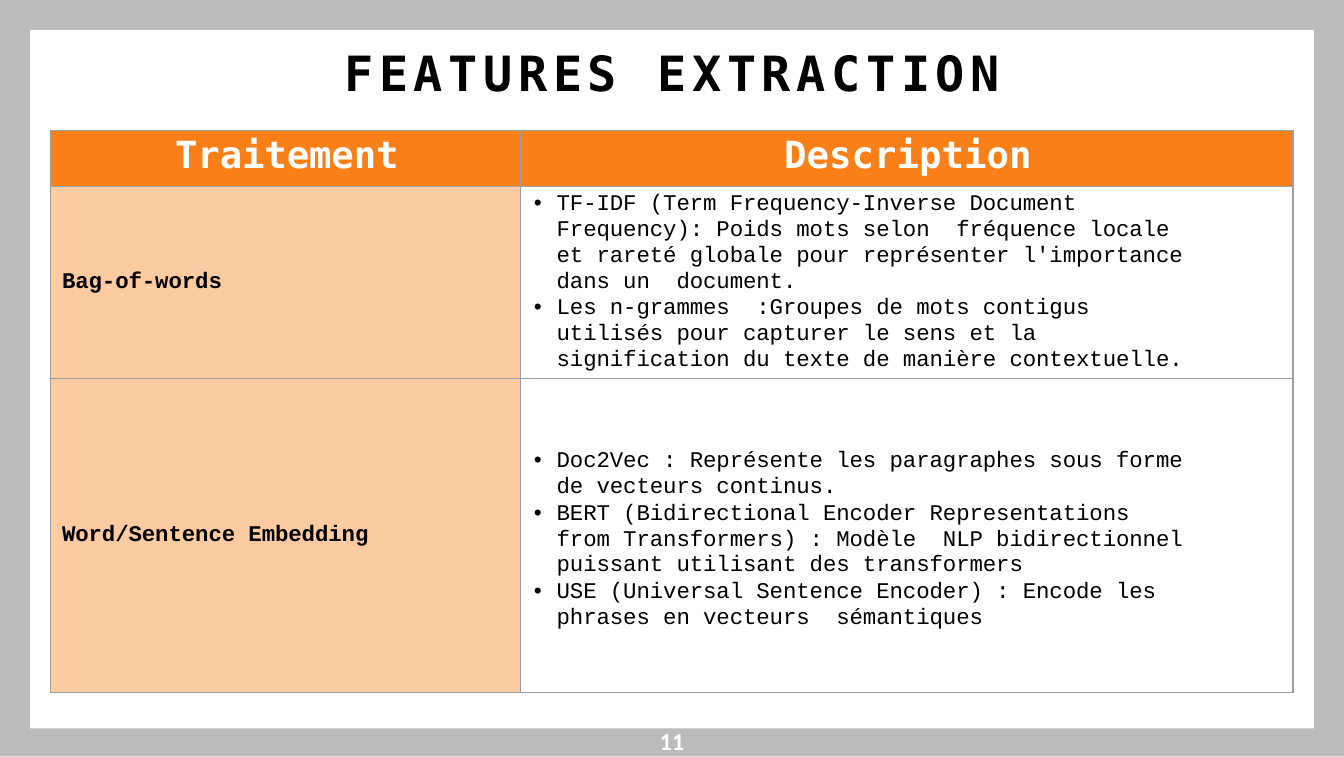
"""Build the features extraction slide with its framed two-column table."""
from lxml.etree import SubElement, fromstring
from pptx import Presentation
from pptx.dml.color import RGBColor
from pptx.enum.text import MSO_ANCHOR, MSO_AUTO_SIZE, PP_ALIGN
from pptx.oxml.ns import nsdecls, qn
from pptx.util import Pt

WIDTH, HEIGHT, BORDER = 720, 405.36, 15.6
MONO, TYPEWRITER = "DejaVu Sans Mono", "Courier New"
GREY, ORANGE, PEACH = "BBBBBB", "F97F18", "FDCBA1"
WHITE, BLACK, RULE = "FFFFFF", "000000", "9E9E9E"

TITLE = "FEATURES EXTRACTION"
PAGE_NUMBER = "11"
HEADERS = [("Traitement", -0.1), ("Description", 0)]
METHODS = [
    ("Bag-of-words", [
        "TF-IDF (Term Frequency-Inverse Document Frequency): Poids mots selon  fréquence locale "
        "et rareté globale pour représenter l'importance dans un  document.",
        "Les n-grammes\u00a0 :Groupes de mots contigus utilisés pour capturer le sens et la "
        "signification du texte de manière contextuelle.",
    ]),
    ("Word/Sentence Embedding", [
        "Doc2Vec : Représente les paragraphes sous forme de vecteurs continus.",
        "BERT (Bidirectional Encoder Representations from Transformers) : Modèle  NLP "
        "bidirectionnel puissant utilisant des transformers",
        "USE (Universal Sentence Encoder) : Encode les phrases en vecteurs  sémantiques",
    ]),
]
COLUMN_WIDTHS = [251.5, 414]
ROW_HEIGHTS = [29.8, 103, 168]
TABLE_LEFT, TABLE_TOP = 27.2, 69.9

HEADER_STYLE = dict(font=MONO, size=20, color=WHITE, bold=True, align=PP_ALIGN.CENTER,
                    left=1.4, line=20.3)
LABEL_STYLE = dict(font=TYPEWRITER, size=12, bold=True, left=6, line=13.8, tracking=-0.06)
BULLET_STYLE = dict(font=TYPEWRITER, size=12, left=19.5, hanging=13.7, line=13.8,
                    before=0.5, bullet="•", tracking=-0.06)


def rgb(value):
    """Turn a hex string into a colour."""
    return RGBColor.from_string(value)


def write(frame, text, font=MONO, size=12, color=BLACK, bold=False, align=PP_ALIGN.LEFT,
          left=0, hanging=0, line=None, before=0, bullet=None, tracking=0):
    """Fill a text frame with one paragraph per line of text."""
    frame.text = text
    for para in frame.paragraphs:
        para.alignment = align
        para.space_before = Pt(before)
        if line:
            para.line_spacing = Pt(line)
        properties = para._p.get_or_add_pPr()
        properties.set("marL", str(Pt(left)))
        properties.set("indent", str(-Pt(hanging)))
        if bullet:
            SubElement(properties, qn("a:buFont")).set("typeface", font)
            SubElement(properties, qn("a:buChar")).set("char", bullet)
        for span in para.runs:
            span.font.name, span.font.size, span.font.bold = font, Pt(size), bold
            span.font.color.rgb = rgb(color)
            span._r.get_or_add_rPr().set("spc", str(round(tracking * 100)))


def set_insets(target, left=0, top=0, right=0, bottom=0):
    """Set the inner margins of a cell or a text frame."""
    target.margin_left, target.margin_top = Pt(left), Pt(top)
    target.margin_right, target.margin_bottom = Pt(right), Pt(bottom)


def place(box, left, top, width, height):
    """Position a box and give its frame a plain layout."""
    box.left, box.top, box.width, box.height = Pt(left), Pt(top), Pt(width), Pt(height)
    frame = box.text_frame
    frame.word_wrap, frame.auto_size = True, MSO_AUTO_SIZE.NONE
    frame.vertical_anchor = MSO_ANCHOR.TOP
    set_insets(frame)
    return frame


def add_frame(page):
    """Draw the grey border around the slide."""
    inset_right, inset_bottom = WIDTH - BORDER, HEIGHT - BORDER
    builder = page.shapes.build_freeform(0, 0, scale=Pt(1))
    builder.add_line_segments([(WIDTH, 0), (WIDTH, HEIGHT), (0, HEIGHT)])
    builder.move_to(BORDER, BORDER)
    builder.add_line_segments([(BORDER, inset_bottom), (inset_right, inset_bottom),
                               (inset_right, BORDER)])
    border = builder.convert_to_shape()
    border.shadow.inherit = False
    border.fill.solid()
    border.fill.fore_color.rgb = rgb(GREY)
    border.line.fill.background()


def format_cell(cell, fill=None, top=0, right=0):
    """Set the fill, margins and borders of a table cell."""
    cell.vertical_anchor = MSO_ANCHOR.MIDDLE
    set_insets(cell, top=top, right=right)
    if fill:
        cell.fill.solid()
        cell.fill.fore_color.rgb = rgb(fill)
    else:
        cell.fill.background()
    properties = cell._tc.get_or_add_tcPr()
    for index, side in enumerate(("lnL", "lnR", "lnT", "lnB")):
        properties.insert(index, fromstring(
            f'<a:{side} {nsdecls("a")} w="{Pt(0.75)}"><a:solidFill>'
            f'<a:srgbClr val="{RULE}"/></a:solidFill></a:{side}>'))


def add_methods_table(page):
    """Add the table of methods and their descriptions."""
    table = page.shapes.add_table(
        len(ROW_HEIGHTS), len(COLUMN_WIDTHS), Pt(TABLE_LEFT), Pt(TABLE_TOP),
        Pt(sum(COLUMN_WIDTHS)), Pt(sum(ROW_HEIGHTS))).table
    table.first_row = table.horz_banding = False
    for column, width in zip(table.columns, COLUMN_WIDTHS):
        column.width = Pt(width)
    for row, height in zip(table.rows, ROW_HEIGHTS):
        row.height = Pt(height)
    for index, (header, tracking) in enumerate(HEADERS):
        cell = table.cell(0, index)
        write(cell.text_frame, header, tracking=tracking, **HEADER_STYLE)
        format_cell(cell, ORANGE)
    for index, (label, points) in enumerate(METHODS, start=1):
        name, description = table.cell(index, 0), table.cell(index, 1)
        write(name.text_frame, label, **LABEL_STYLE)
        format_cell(name, PEACH)
        write(description.text_frame, "\n".join(points), **BULLET_STYLE)
        format_cell(description, top=5 * (index - 1), right=57.5)


def main():
    """Assemble the slide and save the deck."""
    deck = Presentation()
    deck.slide_width, deck.slide_height = Pt(WIDTH), Pt(HEIGHT)
    page = deck.slides.add_slide(deck.slide_layouts[5])
    page.background.fill.solid()
    page.background.fill.fore_color.rgb = rgb(WHITE)
    add_frame(page)
    add_methods_table(page)
    number = page.shapes.add_textbox(0, 0, 0, 0)
    write(place(number, 277.2, 388.8, 165.6, 16), PAGE_NUMBER, font="Calibri", size=13,
          color=WHITE, bold=True, align=PP_ALIGN.CENTER)
    title = place(page.shapes.title, 0, 21.6, WIDTH, 32.4)
    title.margin_top = Pt(1.3)
    write(title, TITLE, size=26, bold=True, align=PP_ALIGN.CENTER, left=0.9, before=0.9,
          tracking=3)
    deck.save("out.pptx")


if __name__ == "__main__":
    main()
